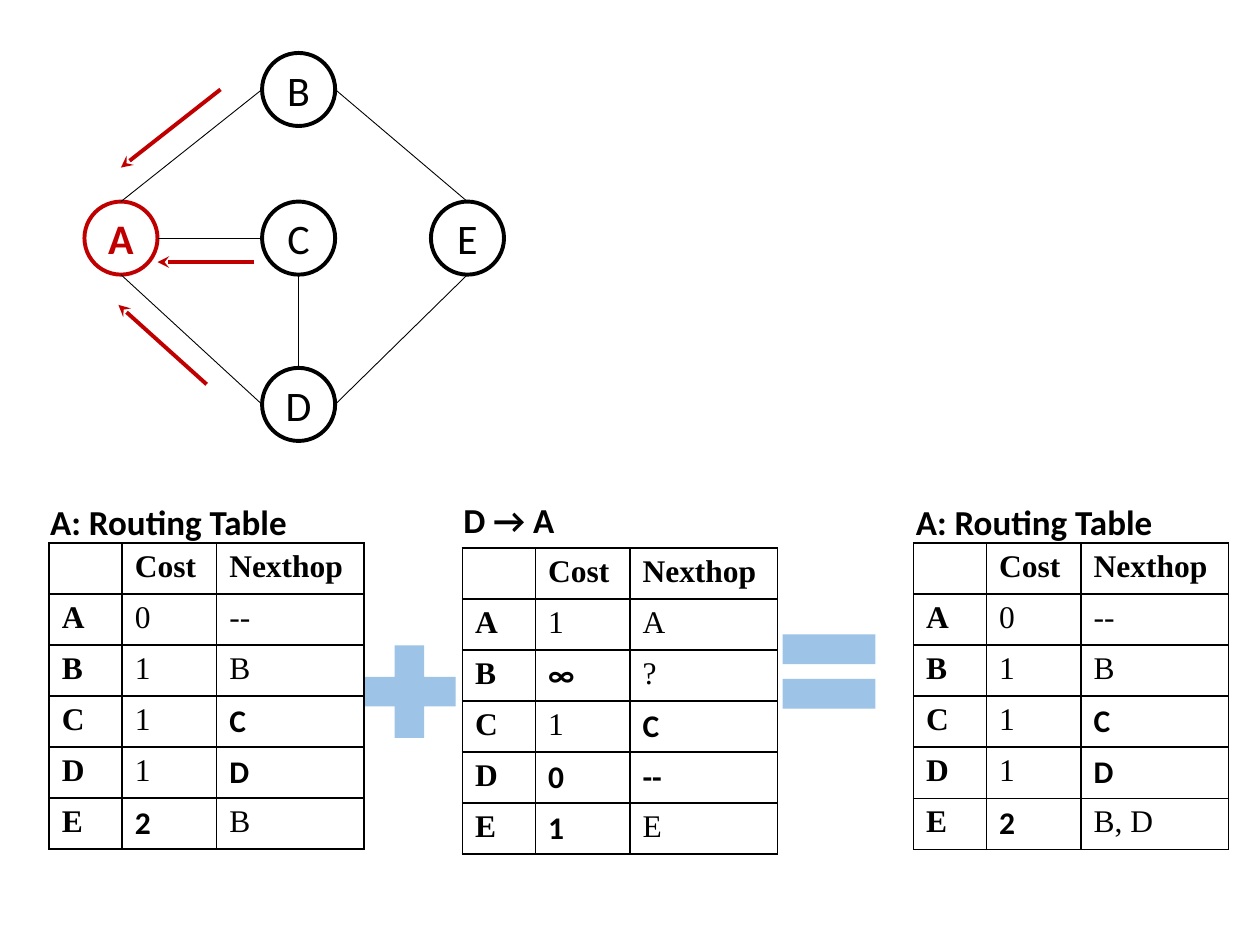
from lxml.etree import SubElement
from pptx import Presentation
from pptx.dml.color import RGBColor
from pptx.enum.shapes import MSO_CONNECTOR as Connector, MSO_SHAPE as Preset
from pptx.enum.text import MSO_ANCHOR as Anchor, MSO_AUTO_SIZE as AutoSize, PP_ALIGN as Align
from pptx.oxml.ns import qn
from pptx.util import Inches, Pt

BLACK = RGBColor(0x00, 0x00, 0x00)
WHITE = RGBColor(0xFF, 0xFF, 0xFF)
RED = RGBColor(0xC0, 0x00, 0x00)
BLUE = RGBColor(0x9D, 0xC3, 0xE6)

NODE_SIZE = 0.58
NODES = {"A": (0.67, 1.6), "B": (2.08, 0.42), "C": (2.08, 1.6), "D": (2.08, 2.92), "E": (3.42, 1.6)}
SIDES = {"top": (0.5, 0), "left": (0, 0.5), "bottom": (0.5, 1), "right": (1, 0.5)}
EDGES = [
    ("A", "top", "B", "left"),
    ("A", "right", "C", "left"),
    ("B", "right", "E", "top"),
    ("A", "bottom", "D", "left"),
    ("C", "bottom", "D", "top"),
    ("D", "right", "E", "bottom"),
]
UPDATES = [((1.75, 0.71), (0.96, 1.33)), ((1.64, 3.05), (0.94, 2.42)), ((2.02, 2.08), (1.25, 2.08))]

COLUMN_WIDTHS = (0.58, 0.75, 1.17)
TABLE_HEIGHT = 2.43
HEADER = ("", "Cost", "Nexthop")
OLD_ROUTES = [("A", "0", "--"), ("B", "1", "B"), ("C", "1", "C"), ("D", "1", "D"), ("E", "2", "B")]
NEW_ROUTES = OLD_ROUTES[:-1] + [("E", "2", "B, D")]
D_ROUTES = [("A", "1", "A"), ("B", "∞", "?"), ("C", "1", "C"), ("D", "0", "--"), ("E", "1", "E")]
A_EMPHASIS = {(3, 2), (4, 2), (5, 1)}
D_EMPHASIS = {(2, 1), (3, 2), (4, 1), (4, 2), (5, 1)}


def write_text(frame, text, size=18, font="Calibri", color=BLACK, bold=False, align=Align.LEFT):
    paragraph = frame.paragraphs[0]
    paragraph.alignment = align
    run = paragraph.add_run()
    run.text = text
    run.font.size = Pt(size)
    run.font.name = font
    run.font.bold = bold
    run.font.color.rgb = color


def add_line(slide, start, end, color=BLACK, width=0.5, arrow=False):
    points = [Inches(value) for value in (*start, *end)]
    connector = slide.shapes.add_connector(Connector.STRAIGHT, *points)
    connector.line.color.rgb = color
    connector.line.width = Pt(width)
    if arrow:
        SubElement(connector.line._get_or_add_ln(), qn("a:tailEnd"), type="stealth")
    SubElement(connector._element.spPr, qn("a:effectLst"))


def add_node(slide, name, left, top, color=BLACK, bold=False):
    size = Inches(NODE_SIZE)
    node = slide.shapes.add_shape(Preset.OVAL, Inches(left), Inches(top), size, size)
    node.shadow.inherit = False
    node.fill.solid()
    node.fill.fore_color.rgb = WHITE
    node.line.color.rgb = color
    node.line.width = Pt(2.25)
    node.text_frame.vertical_anchor = Anchor.MIDDLE
    write_text(node.text_frame, name, size=24, color=color, bold=bold, align=Align.CENTER)


def side_point(name, side):
    left, top = NODES[name]
    across, down = SIDES[side]
    return left + across * NODE_SIZE, top + down * NODE_SIZE


def add_network(slide):
    for name, (left, top) in NODES.items():
        is_receiver = name == "A"
        add_node(slide, name, left, top, color=RED if is_receiver else BLACK, bold=is_receiver)
    for first, first_side, second, second_side in EDGES:
        add_line(slide, side_point(first, first_side), side_point(second, second_side))
    for start, end in UPDATES:
        add_line(slide, start, end, color=RED, width=2.25, arrow=True)


def add_operator(slide, preset, left, top):
    operator = slide.shapes.add_shape(preset, Inches(left), Inches(top), Inches(1), Inches(1))
    operator.shadow.inherit = False
    operator.fill.solid()
    operator.fill.fore_color.rgb = BLUE
    operator.line.fill.background()


def add_caption(slide, text, left, top):
    caption = slide.shapes.add_textbox(Inches(left), Inches(top), Inches(2.25), Inches(0.44))
    caption.text_frame.word_wrap = True
    caption.text_frame.auto_size = AutoSize.SHAPE_TO_FIT_TEXT
    write_text(caption.text_frame, text, size=20, bold=True)


def outline_cell(cell):
    properties = cell._tc.get_or_add_tcPr()
    for position, side in enumerate(("lnL", "lnR", "lnT", "lnB")):
        border = SubElement(properties, qn(f"a:{side}"), w=str(Pt(1)))
        properties.insert(position, border)
        fill = SubElement(border, qn("a:solidFill"))
        SubElement(fill, qn("a:srgbClr"), val=str(BLACK))


def add_routing_table(slide, left, top, routes, emphasis):
    rows = [HEADER, *routes]
    frame = slide.shapes.add_table(
        len(rows), len(HEADER), Inches(left), Inches(top), Inches(sum(COLUMN_WIDTHS)), Inches(TABLE_HEIGHT)
    )
    table = frame.table
    for column, width in zip(table.columns, COLUMN_WIDTHS):
        column.width = Inches(width)
    for row_index, row in enumerate(rows):
        for column_index, text in enumerate(row):
            cell = table.cell(row_index, column_index)
            cell.fill.background()
            outline_cell(cell)
            if text:
                emphasized = (row_index, column_index) in emphasis
                is_heading = row_index == 0 or column_index == 0
                font = "Calibri" if emphasized else "Times New Roman"
                write_text(cell.text_frame, text, font=font, bold=emphasized or is_heading)


def main():
    presentation = Presentation()
    presentation.slide_width = Inches(10)
    presentation.slide_height = Inches(7.5)
    slide = presentation.slides.add_slide(presentation.slide_layouts[6])

    add_network(slide)
    add_operator(slide, Preset.MATH_PLUS, 2.75, 4.99)
    add_routing_table(slide, 7.25, 4.31, NEW_ROUTES, A_EMPHASIS)
    add_caption(slide, "A: Routing Table", 7.17, 3.92)
    add_operator(slide, Preset.MATH_EQUAL, 6.08, 4.83)
    add_routing_table(slide, 0.39, 4.31, OLD_ROUTES, A_EMPHASIS)
    add_caption(slide, "A: Routing Table", 0.3, 3.92)
    add_caption(slide, "D → A", 3.58, 3.91)
    add_routing_table(slide, 3.67, 4.35, D_ROUTES, D_EMPHASIS)

    presentation.save("out.pptx")


if __name__ == "__main__":
    main()
